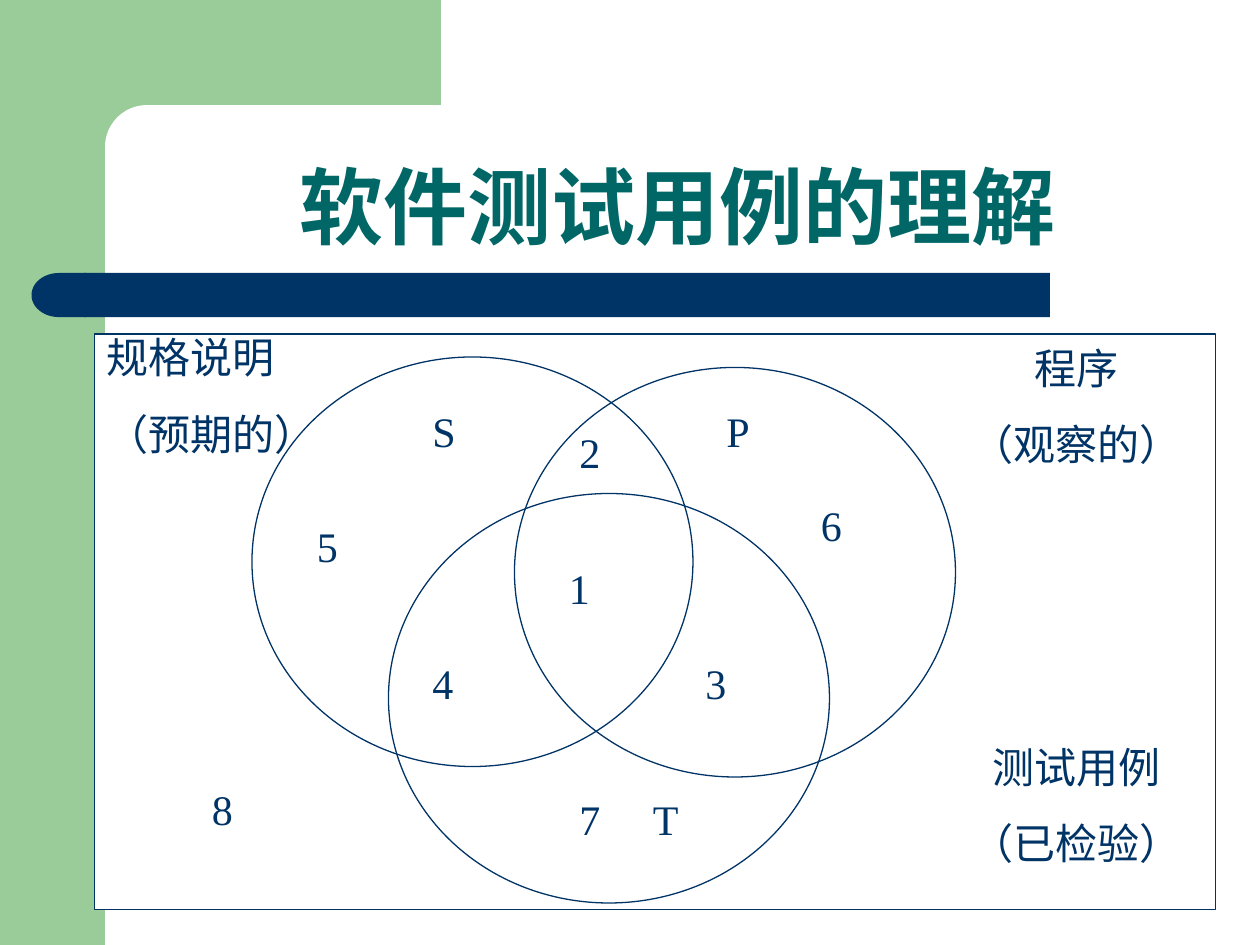
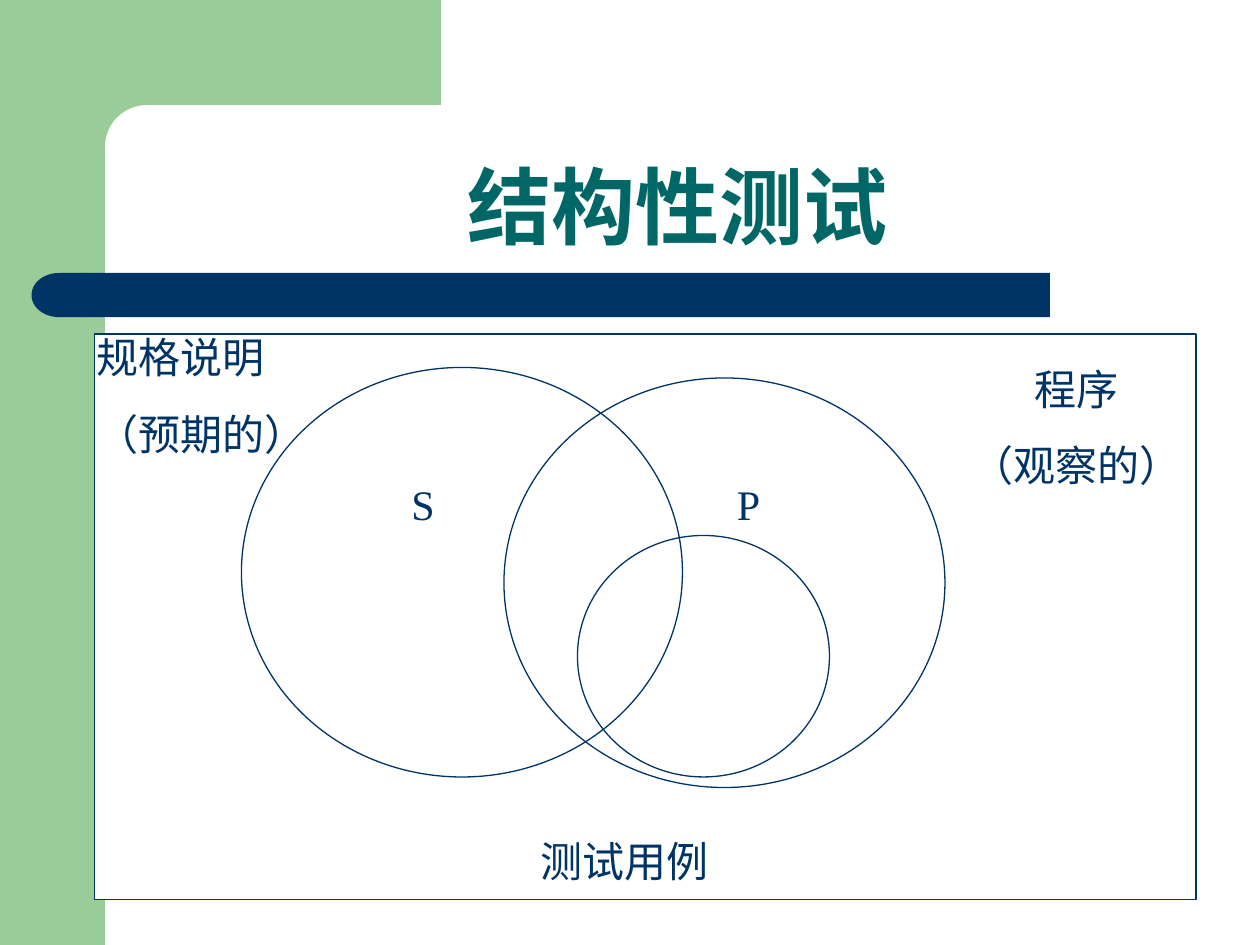
from pptx import Presentation
from pptx.dml.color import RGBColor
from pptx.enum.shapes import MSO_SHAPE
from pptx.enum.text import MSO_ANCHOR, MSO_AUTO_SIZE, PP_ALIGN
from pptx.util import Pt

PX = 7620  # 120 px to the inch
COLORS = {"green": "99CC99", "white": "FFFFFF", "navy": "003366", "teal": "006666"}
LEFT, MID = PP_ALIGN.LEFT, PP_ALIGN.CENTER


def add_form(slide, kind, box, fill=None, line=None):
    form = slide.shapes.add_shape(kind, *[n * PX for n in box])
    form.shadow.inherit = False
    if fill:
        form.fill.solid()
        form.fill.fore_color.rgb = RGBColor.from_string(COLORS[fill])
    else:
        form.fill.background()
    if line:
        form.line.color.rgb = RGBColor.from_string(COLORS[line])
        form.line.width = Pt(0.75)
    else:
        form.line.fill.background()
    return form


def set_text(frame, text, font, size, color, align, bold=False):
    frame.text = text
    frame.word_wrap = True
    for para in frame.paragraphs:
        para.alignment = align
        for run in para.runs:
            run.font.name = font
            run.font.size = Pt(size)
            run.font.bold = bold
            run.font.color.rgb = RGBColor.from_string(COLORS[color])


deck = Presentation()
deck.slide_width, deck.slide_height = 1200 * PX, 900 * PX
layout = deck.slide_layouts[5]

# Content: frame size, circles (x, y, w, h), labels (text, x, y, w, h, align)
SPEC = "规格说明\n（预期的）"
CODE = "程序\n（观察的）"
MARKS = [("7", 540, 750), ("S", 400, 380), ("P", 680, 380), ("T", 610, 750),
         ("8", 190, 740), ("2", 540, 400), ("1", 530, 530), ("5", 290, 490),
         ("6", 770, 470), ("4", 400, 620), ("3", 660, 620)]
pages = [
    {"title": "软件测试用例的理解", "frame": (1068, 548),
     "rings": [(490, 350, 420, 390), (240, 340, 420, 390), (370, 470, 420, 390)],
     "marks": MARKS,
     "notes": [(SPEC, 90, 310, 230, 133, LEFT), (CODE, 910, 320, 230, 133, MID),
               ("测试用例\n（已检验）", 910, 700, 230, 133, MID)]},
    {"title": "结构性测试", "frame": (1049, 539),
     "rings": [(480, 360, 420, 390), (230, 350, 420, 390), (550, 510, 240, 230)],
     "marks": [("S", 380, 450), ("P", 690, 450)],
     "notes": [(SPEC, 80, 310, 230, 133, LEFT), (CODE, 910, 340, 230, 133, MID),
               ("测试用例", 430, 790, 330, 60, MID)]},
]
slides = [deck.slides.add_slide(layout) for page in pages]

# Shared bands: drawn once, then moved to the layout
first = slides[0]
bands = [
    add_form(first, MSO_SHAPE.RECTANGLE, (0, 0, 100, 900), "green"),
    add_form(first, MSO_SHAPE.RECTANGLE, (90, 0, 330, 140), "green"),
    add_form(first, MSO_SHAPE.ROUNDED_RECTANGLE, (100, 100, 670, 80), "white"),
    add_form(first, MSO_SHAPE.RECTANGLE, (80, 260, 920, 42), "navy"),
    add_form(first, MSO_SHAPE.FLOWCHART_DELAY, (30, 260, 52, 42), "navy"),
]
bands[2].adjustments[0] = 0.5
bands[4]._element.spPr.xfrm.set("flipH", "1")
for spot, band in enumerate(bands):
    band._element.nvSpPr.cNvPr.set("id", str(100 + spot))
    layout.shapes._spTree.insert(2 + spot, band._element)

for slide, page in zip(slides, pages):
    # Title
    title = slide.shapes.title
    title.left, title.top, title.width, title.height = [n * PX for n in (120, 100, 1050, 150)]
    set_text(title.text_frame, page["title"], "Arial", 48, "teal", MID, True)
    title.text_frame.vertical_anchor = MSO_ANCHOR.BOTTOM
    title.text_frame.auto_size = MSO_AUTO_SIZE.NONE
    title.text_frame.paragraphs[0].line_spacing = 0.9

    # Frame and circles
    add_form(slide, MSO_SHAPE.RECTANGLE, (90, 318, *page["frame"]), "white", "navy")
    for ring in page["rings"]:
        add_form(slide, MSO_SHAPE.OVAL, ring, line="navy")

    # Labels
    marks = [(*mark, 100, 60, LEFT) for mark in page["marks"]]
    for text, x, y, w, h, align in page["notes"] + marks:
        label = slide.shapes.add_textbox(x * PX, y * PX, w * PX, h * PX)
        set_text(label.text_frame, text, "Times New Roman", 24, "navy", align)
        label.text_frame.auto_size = MSO_AUTO_SIZE.SHAPE_TO_FIT_TEXT
        for para in label.text_frame.paragraphs:
            para.space_before = Pt(15)

deck.save("out.pptx")
